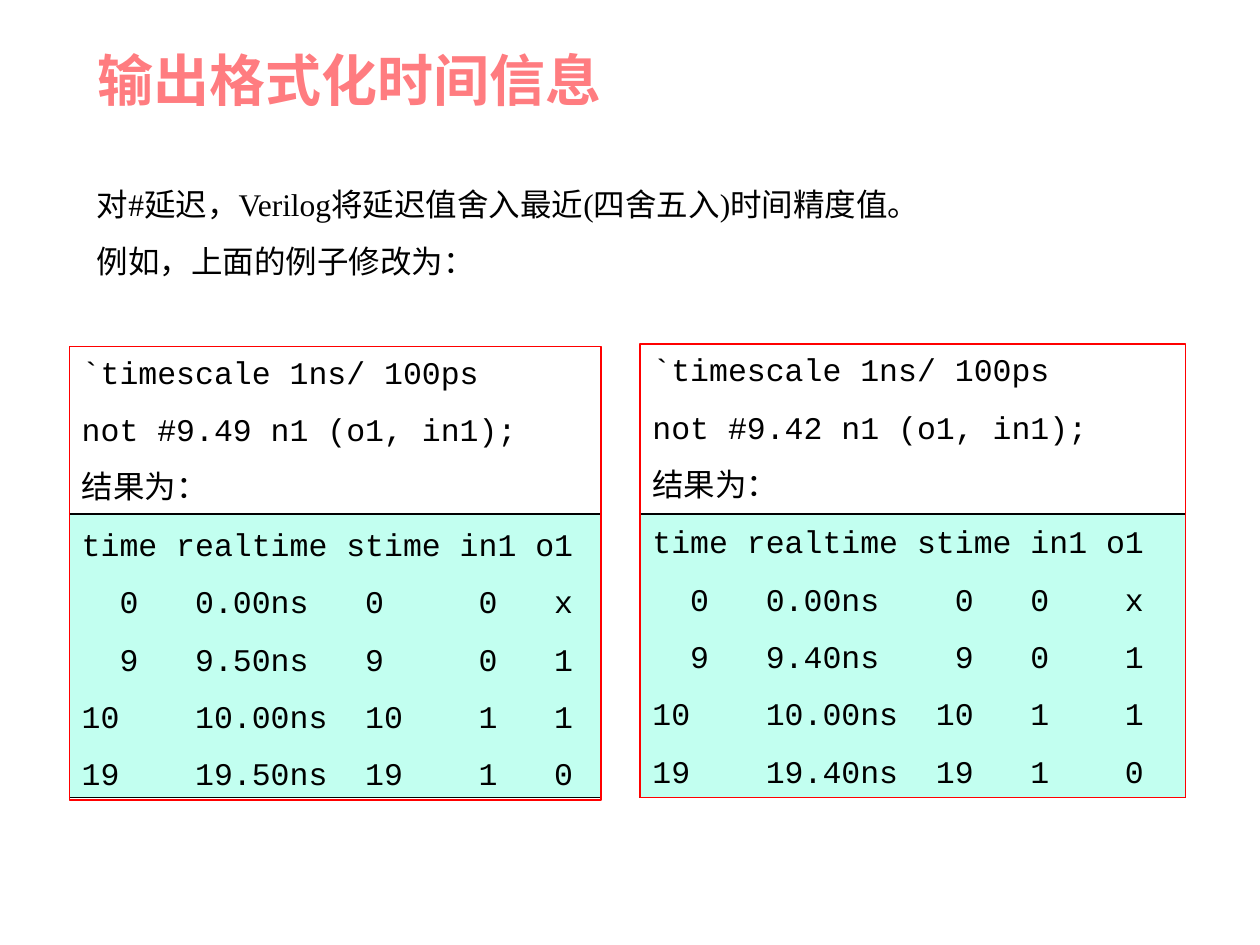
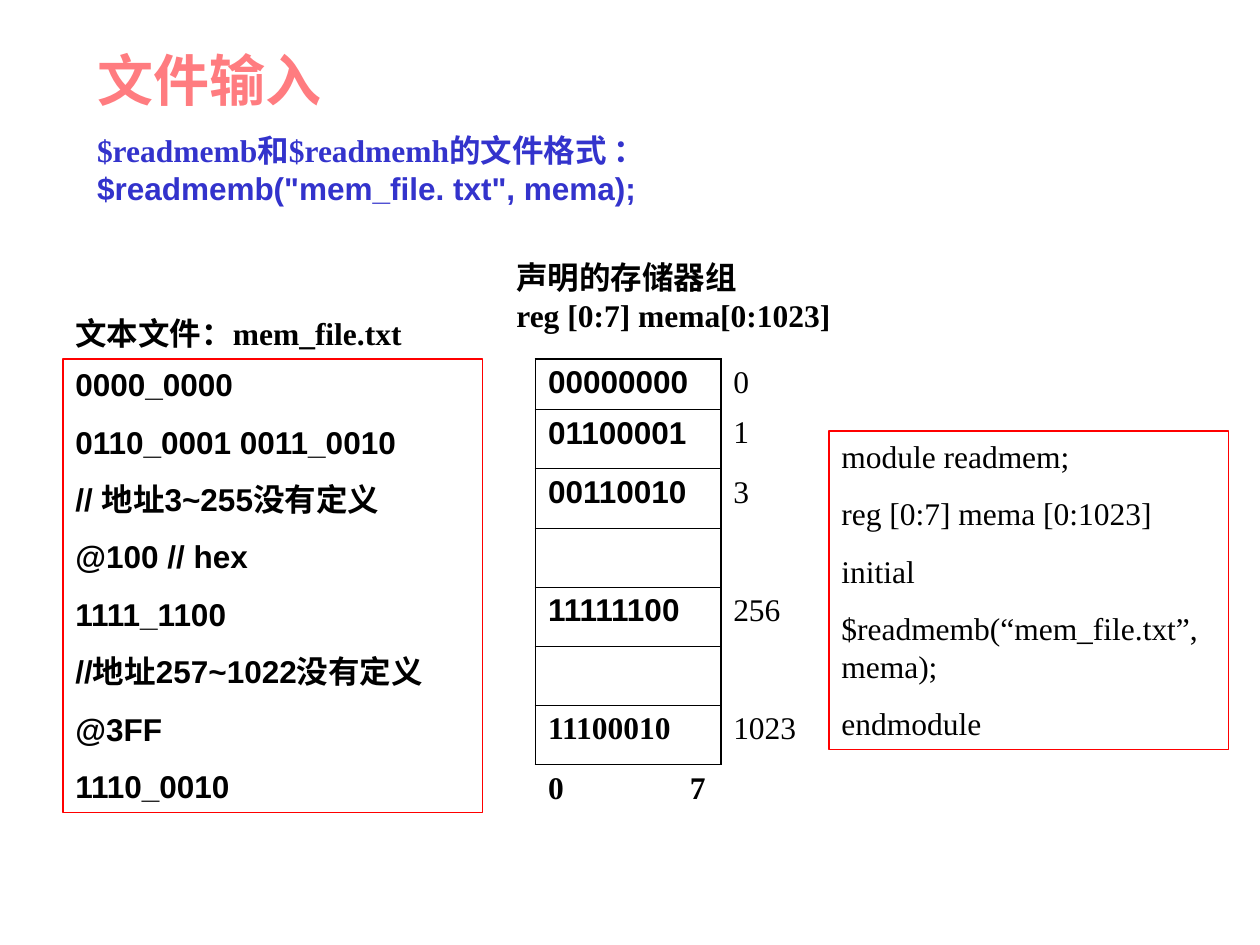
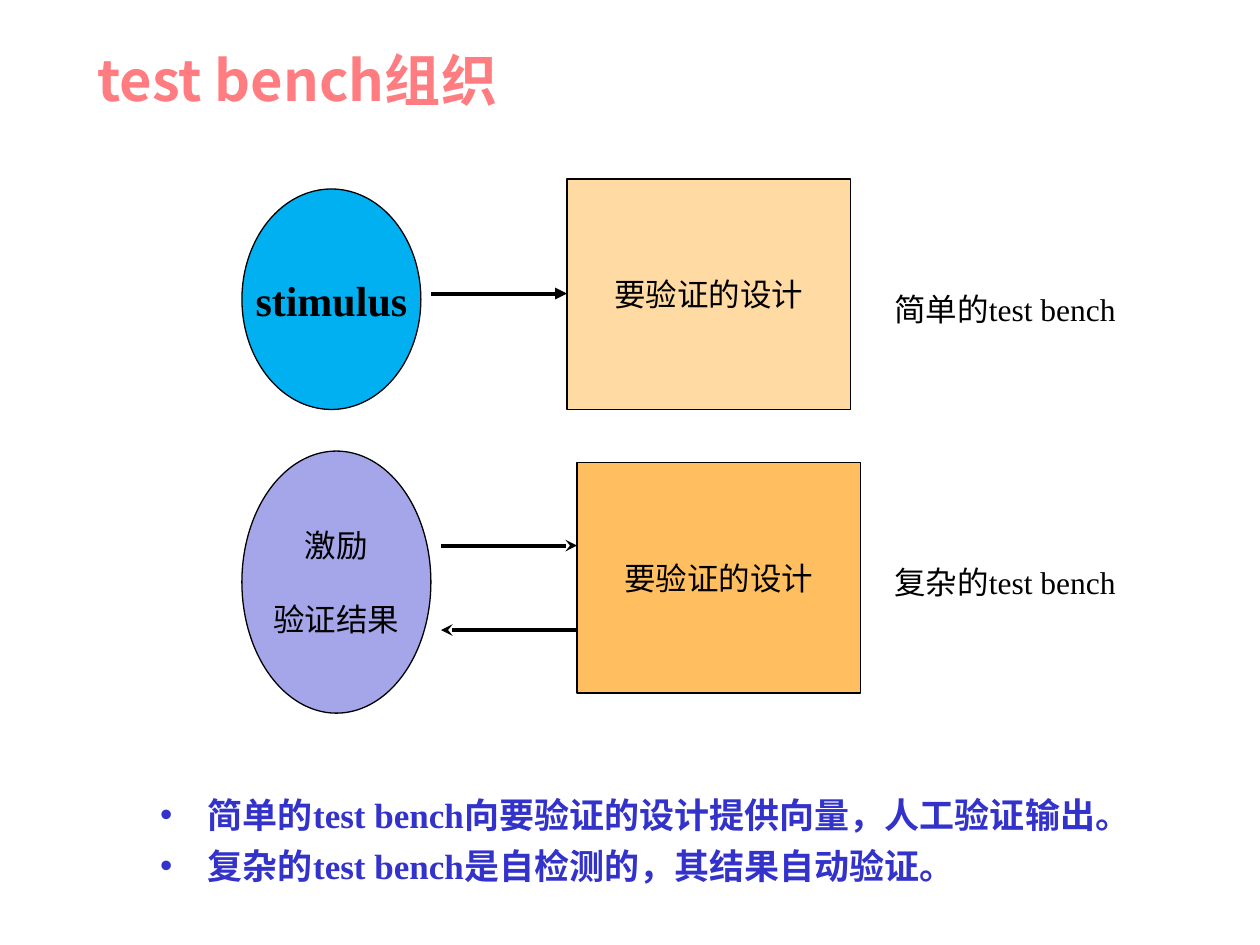
from lxml.etree import SubElement
from pptx import Presentation
from pptx.dml.color import RGBColor
from pptx.enum.shapes import MSO_CONNECTOR, MSO_SHAPE
from pptx.enum.text import MSO_ANCHOR, MSO_AUTO_SIZE, PP_ALIGN
from pptx.oxml.ns import qn
from pptx.util import Inches, Pt

CORAL = RGBColor(0xFF, 0x7C, 0x80)
BLUE = RGBColor(0x33, 0x33, 0xCC)
BLACK = RGBColor(0x00, 0x00, 0x00)
RED = RGBColor(0xFF, 0x00, 0x00)
MINT = RGBColor(0xC2, 0xFF, 0xF0)
SKY = RGBColor(0x00, 0xB0, 0xF0)
LAVENDER = RGBColor(0xA5, 0xA5, 0xE9)
ORANGE = RGBColor(0xFF, 0x99, 0x00)

HEITI = "Noto Sans CJK SC"
SERIF = "Times New Roman"
SANS = "Arial"
MONO = "Courier New"
NO_GRID_STYLE = "{2D5ABB26-0587-4C30-8999-92F81FD0307C}"
TITLE_ONLY, TITLE_AND_BODY = 5, 1


class Deck:
    """Holds the shared style and the slide being built."""

    def __init__(self):
        self.presentation = Presentation()
        self.presentation.slide_width = Inches(10)
        self.presentation.slide_height = Inches(7.5)

    def new_slide(self, heading, layout=TITLE_ONLY):
        self.slide = self.presentation.slides.add_slide(self.presentation.slide_layouts[layout])
        title = self.slide.shapes.title
        self.place(title, (0.67, 0, 8.67, 1.25))
        self.set_text(title.text_frame, [heading], size=32, name=HEITI, color=CORAL, bold=True,
                      anchor=MSO_ANCHOR.MIDDLE)

    def place(self, shape, at):
        for side, length in zip(("left", "top", "width", "height"), at):
            setattr(shape, side, Inches(length))

    def set_text(self, frame, lines, size=18, name=SERIF, color=BLACK, bold=False, gap=0,
                 align=PP_ALIGN.LEFT, anchor=MSO_ANCHOR.TOP, wrap=True, spacing=None,
                 hanging=False, bullet=None, tabs=()):
        frame.auto_size = MSO_AUTO_SIZE.NONE
        frame.word_wrap = wrap
        frame.vertical_anchor = anchor
        for index, line in enumerate(lines):
            text, line_font = line if isinstance(line, tuple) else (line, name)
            paragraph = frame.add_paragraph() if index else frame.paragraphs[0]
            layout = {"alignment": align, "space_before": Pt(gap if index else 0),
                      "line_spacing": spacing}
            for key, value in layout.items():
                setattr(paragraph, key, value)
            self.mark(paragraph, color, hanging, bullet, tabs)
            run = paragraph.add_run()
            run.text = text
            for key, value in {"size": Pt(size), "name": line_font, "bold": bold}.items():
                setattr(run.font, key, value)
            run.font.color.rgb = color
            SubElement(run._r.get_or_add_rPr(), qn("a:ea"), typeface=HEITI)

    def mark(self, paragraph, color, hanging, bullet, tabs):
        properties = paragraph._p.get_or_add_pPr()
        if hanging:
            properties.set("marL", str(Inches(0.38)))
            properties.set("indent", str(Inches(-0.38)))
        if bullet:
            tint = SubElement(properties, qn("a:buClr"))
            SubElement(tint, qn("a:srgbClr"), val=str(color))
            SubElement(properties, qn("a:buChar"), char=bullet)
        elif hanging:
            SubElement(properties, qn("a:buNone"))
        if tabs:
            stops = SubElement(properties, qn("a:tabLst"))
            for position, side in tabs:
                SubElement(stops, qn("a:tab"), pos=str(Inches(position)), algn=side)

    def body(self, at, lines, **style):
        placeholder = self.slide.placeholders[1]
        self.place(placeholder, at)
        self.set_text(placeholder.text_frame, lines, color=BLUE, bold=True, hanging=True,
                      align=PP_ALIGN.JUSTIFY, **style)

    def label(self, at, lines, **style):
        box = self.slide.shapes.add_textbox(*map(Inches, at))
        self.set_text(box.text_frame, lines, **style)

    def shape(self, at, lines=(), kind=MSO_SHAPE.RECTANGLE, fill=None, opacity=None, edge=BLACK,
              **style):
        shape = self.slide.shapes.add_shape(kind, *map(Inches, at))
        shape.shadow.inherit = False
        shape.line.color.rgb = edge
        shape.line.width = Pt(0.75)
        if fill is None:
            shape.fill.background()
        else:
            shape.fill.solid()
            shape.fill.fore_color.rgb = fill
        if opacity:
            shade = shape._element.spPr.find(qn("a:solidFill"))[0]
            SubElement(shade, qn("a:alpha"), val=str(opacity * 1000))
        self.set_text(shape.text_frame, lines, **style)

    def code(self, at, lines, **style):
        self.shape(at, lines, edge=RED, gap=11.2, **style)

    def node(self, at, lines, **style):
        self.shape(at, lines, align=PP_ALIGN.CENTER, anchor=MSO_ANCHOR.MIDDLE, wrap=False, **style)

    def arrow(self, start, end, head):
        arrow = self.slide.shapes.add_connector(MSO_CONNECTOR.STRAIGHT, *map(Inches, start + end))
        arrow.line.color.rgb = BLACK
        arrow.line.width = Pt(2.25)
        properties = arrow._element.spPr
        SubElement(properties.find(qn("a:ln")), qn("a:tailEnd"), type=head)
        SubElement(properties, qn("a:effectLst"))

    def border(self, cell, **widths):
        properties = cell._tc.get_or_add_tcPr()
        for side, width in widths.items():
            line = SubElement(properties, qn(f"a:ln{side}"), w=str(Pt(width)))
            paint = SubElement(line, qn("a:solidFill"))
            SubElement(paint, qn("a:srgbClr"), val=str(BLACK))

    def memory_table(self, at, words, widths, heights):
        table = self.slide.shapes.add_table(len(words) + 1, 2, *map(Inches, at)).table
        table.first_row = table.horz_banding = False
        table._tbl.tblPr.find(qn("a:tableStyleId")).text = NO_GRID_STYLE
        for column, width in zip(table.columns, widths):
            column.width = Inches(width)
        for row, height in zip(table.rows, heights):
            row.height = Inches(height)
        last = len(words) - 1
        for index, (word, address, font) in enumerate(words):
            self.border(table.cell(index, 0), L=1.08, R=1.08, T=0.45 if index else 1.08,
                        B=1.08 if index == last else 0.45)
            self.fill_cell(table.cell(index, 0), word, name=font, bold=True)
            self.fill_cell(table.cell(index, 1), address)
        bits = table.cell(last + 1, 0)
        self.border(bits, T=1.08)
        self.fill_cell(bits, "0\t7", bold=True, tabs=[(1.25, "r")])
        self.fill_cell(table.cell(last + 1, 1), "")

    def fill_cell(self, cell, text, name=SERIF, bold=False, tabs=()):
        cell.fill.background()
        if text:
            paragraph = cell.text_frame.paragraphs[0]
            self.mark(paragraph, BLACK, False, None, tabs)
            run = paragraph.add_run()
            run.text = text
            for key, value in {"size": Pt(18), "name": name, "bold": bold}.items():
                setattr(run.font, key, value)
            run.font.color.rgb = BLACK


def time_slide(deck):
    deck.new_slide("输出格式化时间信息")
    deck.label((0.67, 1.42, 8.75, 0.86),
               ["对#延迟，Verilog将延迟值舍入最近(四舍五入)时间精度值。", "例如，上面的例子修改为："],
               gap=11.2, align=PP_ALIGN.JUSTIFY)
    simulations = [
        (5.08, 2.73, 4.33, "9.42", ("9.40", "19.40"), [(0.9, "l"), (2.55, "r"), (3, "l"), (3.75, "l")]),
        (0.55, 2.75, 4.22, "9.49", ("9.50", "19.50"), [(0.9, "l"), (2.25, "l"), (3.15, "l"), (3.75, "l")]),
    ]
    for left, top, width, delay, (first, second), columns in simulations:
        deck.shape((left, 4.08, width, 2.25), fill=MINT)
        deck.code((left, top, width, 3.6), [
            "`timescale 1ns/ 100ps",
            f"not #{delay} n1 (o1, in1);",
            ("结果为：", SERIF),
            "time realtime stime in1 o1",
            "  0\t0.00ns\t0\t0\tx",
            f"  9\t{first}ns\t9\t0\t1",
            "10\t10.00ns\t10\t1\t1",
            f"19\t{second}ns\t19\t1\t0",
        ], name=MONO, tabs=columns)


def file_slide(deck):
    deck.new_slide("文件输入", TITLE_AND_BODY)
    deck.body((0.67, 1.05, 6.08, 0.7),
              ["$readmemb和$readmemh的文件格式 ：", ('$readmemb("mem_file. txt", mema);', SANS)],
              gap=4.5, spacing=0.8)
    deck.code((0.5, 2.85, 3.33, 3.6), [
        "0000_0000", "0110_0001 0011_0010", "// 地址3~255没有定义", "@100 // hex",
        "1111_1100", "//地址257~1022没有定义", "@3FF", "1110_0010",
    ], name=SANS, bold=True)
    deck.label((0.5, 2.44, 3.42, 0.4), ["文本文件：mem_file.txt"], bold=True)
    words = [
        ("00000000", "0", SANS), ("01100001", "1", SANS), ("00110010", "3", SANS), ("", "", SANS),
        ("11111100", "256", SANS), ("", "", SANS), ("11100010", "1023", SERIF),
    ]
    deck.memory_table((4.25, 2.85, 3.5, 3.71), words, (1.47, 2.03), [0.4] + [0.47] * len(words))
    deck.label((4, 2, 2.92, 0.7), ["声明的存储器组", "reg [0:7] mema[0:1023]"], bold=True)
    deck.code((6.58, 3.42, 3.17, 2.53), [
        "module readmem;", "reg [0:7] mema [0:1023]", "initial",
        "$readmemb(“mem_file.txt”, mema);", "endmodule",
    ])


def bench_slide(deck):
    deck.new_slide("test bench组织", TITLE_AND_BODY)
    deck.body((1.17, 6.25, 8.17, 1),
              ["简单的test bench向要验证的设计提供向量，人工验证输出。",
               "复杂的test bench是自检测的，其结果自动验证。"],
              size=20, gap=5, bullet="•")
    deck.node((1.92, 1.5, 1.42, 1.75), ["stimulus"], kind=MSO_SHAPE.OVAL, fill=SKY, size=24, bold=True)
    deck.node((1.92, 3.58, 1.5, 2.08), ["激励", "验证结果"], kind=MSO_SHAPE.OVAL, fill=LAVENDER, gap=21)
    for left, top, opacity in ((4.5, 1.42, 36), (4.58, 3.67, 62)):
        deck.node((left, top, 2.25, 1.83), ["要验证的设计"], fill=ORANGE, opacity=opacity)
    for top, level in ((2.25, "简单"), (4.42, "复杂")):
        deck.label((7, top, 2.67, 0.4), [f"{level}的test bench"])
    deck.arrow((3.42, 2.33), (4.5, 2.33), "triangle")
    deck.arrow((3.5, 4.33), (4.58, 4.33), "stealth")
    deck.arrow((4.58, 5), (3.5, 5), "stealth")


def main():
    deck = Deck()
    for build in (time_slide, file_slide, bench_slide):
        build(deck)
    deck.presentation.save("out.pptx")


if __name__ == "__main__":
    main()
